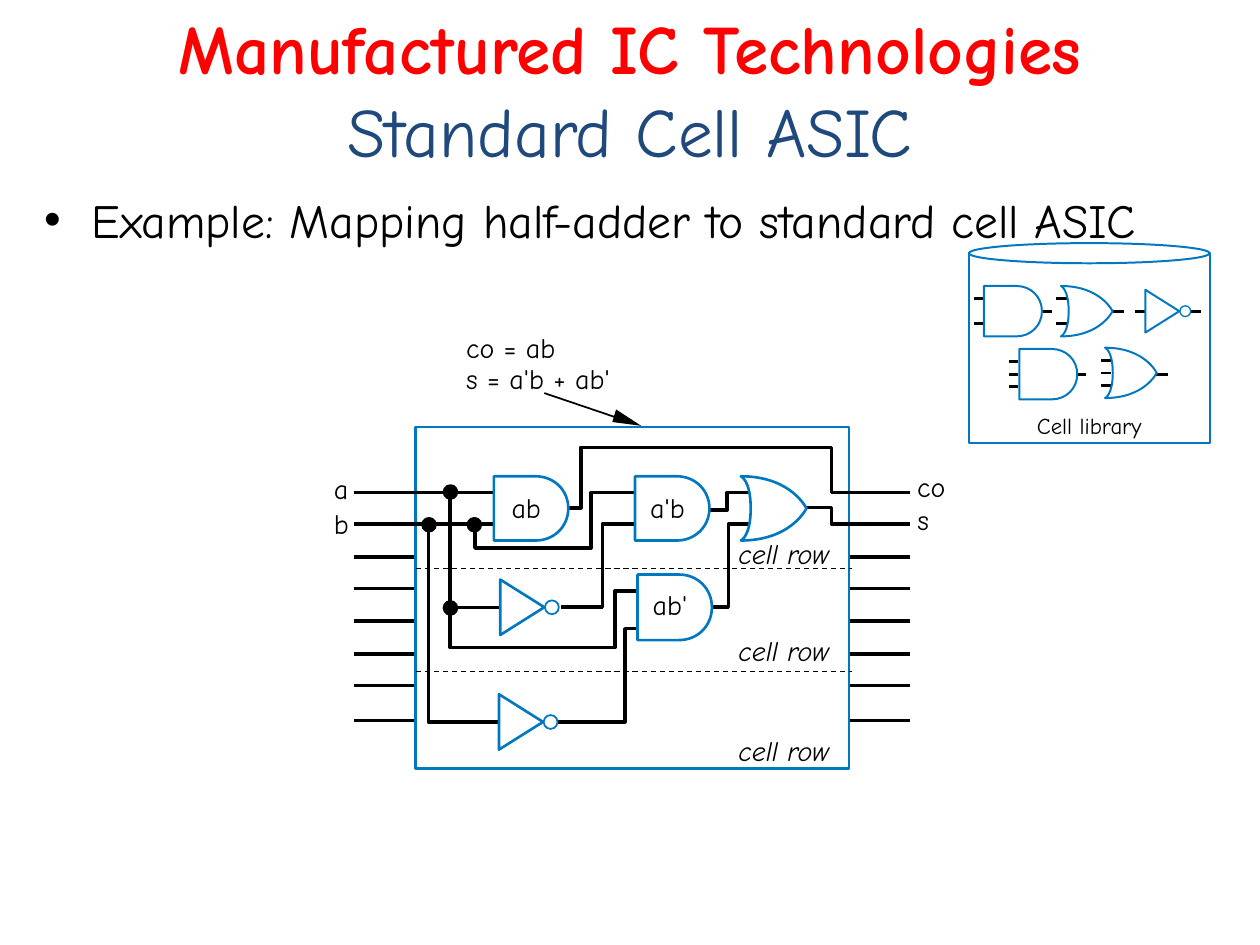
"""Build the standard cell ASIC slide with the half-adder mapping and the cell library."""
from dataclasses import dataclass

import pptx
import pptx.dml.color
import pptx.enum.dml
import pptx.enum.shapes
import pptx.enum.text
import pptx.oxml.ns
import pptx.oxml.xmlchemy
import pptx.util
from pptx.util import Inches

Point = tuple[float, float]
Box = tuple[float, float, float, float]


@dataclass(frozen=True)
class Theme:
    """Colours, type sizes and line widths."""
    font: str = "Comic Neue"
    red: str = "FF0000"
    navy: str = "1F497D"
    ink: str = "000000"
    paper: str = "FFFFFF"
    blue: str = "0078C1"
    title: float = 39.6
    body: float = 27.2
    label: float = 16
    small: float = 13
    wire: float = 2
    stub: float = 1.63
    outline: float = 1.5
    thin: float = 1.13
    hair: float = 0.75


@dataclass(frozen=True)
class Gate:
    """A gate symbol and its outline width."""
    kind: str
    x: float
    y: float
    w: float
    h: float
    line: float = Theme.outline


@dataclass(frozen=True)
class Label:
    """A line of text at its top left corner."""
    text: str
    x: float
    y: float
    w: float
    size: float = Theme.label
    italic: bool = False


T = Theme()
SHAPE = pptx.enum.shapes.MSO_SHAPE

OUTLINES = {
    "not": ((0, 1), (1, 0.5), (0, 0)),
    "and": ((0, 1), (0.56, 1), (0.56, 1), (0.56, 1), (0.81, 1), (1, 0.78), (1, 0.5),
            (1, 0.22), (0.81, 0), (0.56, 0), (0, 0), (0, 0), (0, 0)),
    "or": ((1, 0.5), (1, 0.5), (0.77, 1), (0, 1), (0, 1), (0.15, 0.94), (0.15, 0.5),
           (0.15, 0.06), (0, 0), (0, 0), (0.77, 0), (1, 0.5), (1, 0.5)),
}
PIN_ROWS = (3.91, 4.16, 4.42, 4.67, 4.93, 5.19, 5.44, 5.72)
WIRES = (
    ((7.21, 3.91), (6.6, 3.91), (6.6, 3.55), (4.61, 3.55), (4.61, 4.03), (4.51, 4.03)),
    ((5.04, 3.91), (4.69, 3.91), (4.69, 4.35), (4.6, 4.35), (3.77, 4.35), (3.77, 4.16)),
    ((4.43, 5.73), (4.96, 5.73), (4.96, 4.99), (5.06, 4.99)),
    ((3.96, 5.73), (3.4, 5.73), (3.4, 4.16)),
    ((6.4, 4.03), (6.6, 4.03), (6.6, 4.16), (7.22, 4.16)),
    ((5.64, 4.82), (5.78, 4.82), (5.78, 4.16), (5.95, 4.16)),
    ((5.95, 3.91), (5.77, 3.91), (5.77, 4.05), (5.63, 4.05)),
    ((4.45, 4.82), (4.78, 4.82), (4.78, 4.16), (5.04, 4.16)),
    ((5.06, 4.69), (4.88, 4.69), (4.88, 5.14), (3.57, 5.14), (3.57, 3.91)),
)
JUNCTIONS = ((3.52, 3.85), (3.52, 4.77), (3.71, 4.11), (3.35, 4.11))
GATES = (
    Gate("and", 3.92, 3.78, 0.59, 0.51),
    Gate("not", 3.97, 4.6, 0.35, 0.44),
    Gate("not", 3.96, 5.51, 0.35, 0.44),
    Gate("or", 5.88, 3.78, 0.52, 0.51),
    Gate("and", 5.04, 3.78, 0.59, 0.51),
    Gate("and", 5.06, 4.56, 0.59, 0.52),
)
LIBRARY_GATES = (
    Gate("and", 7.81, 2.27, 0.46, 0.4, T.thin),
    Gate("and", 8.09, 2.77, 0.46, 0.4, T.thin),
    Gate("not", 9.09, 2.3, 0.27, 0.34, T.thin),
    Gate("or", 8.42, 2.27, 0.41, 0.4, T.thin),
    Gate("or", 8.77, 2.76, 0.41, 0.4, T.thin),
)
STUBS = (
    (7.73, 0.08, (2.37, 2.57)), (8.27, 0.08, (2.47,)),
    (8.01, 0.07, (2.87, 2.97, 3.07)), (8.55, 0.07, (2.97,)),
    (9.01, 0.08, (2.47,)), (9.45, 0.08, (2.47,)),
    (8.38, 0.09, (2.37, 2.57)), (8.82, 0.1, (2.47,)),
    (8.74, 0.08, (2.86, 2.96, 3.06)), (9.17, 0.1, (2.97,)),
)
LABELS = (
    Label("s", 7.28, 3.99, 0.11), Label("co", 7.28, 3.73, 0.23),
    Label("a", 2.65, 3.74, 0.12), Label("b", 2.65, 4.02, 0.13),
    Label("co = ab", 3.7, 2.62, 0.74), Label("s = a'b + ab'", 3.7, 2.87, 1.27),
    Label("ab", 4.06, 3.89, 0.25), Label("a'b", 5.16, 3.89, 0.34), Label("ab'", 5.18, 4.66, 0.34),
    *(Label("cell row", 5.86, y, 0.81, italic=True) for y in (4.26, 5.03, 5.82)),
    Label("Cell library", 8.23, 3.27, 0.84, T.small),
)


def rgb(value: str) -> pptx.dml.color.RGBColor:
    """Return a colour from its hex code."""
    return pptx.dml.color.RGBColor.from_string(value)


def style_run(r, size: float, color: str, bold: bool = False, italic: bool = False) -> None:
    """Format one run."""
    r.font.name, r.font.size = T.font, pptx.util.Pt(size)
    r.font.bold, r.font.italic = bold, italic
    r.font.color.rgb = rgb(color)


def paint(sp, fill: str | None, line: str, width: float) -> None:
    """Set fill and outline of a shape."""
    sp.shadow.inherit = False
    if fill:
        sp.fill.solid()
        sp.fill.fore_color.rgb = rgb(fill)
    else:
        sp.fill.background()
    sp.line.color.rgb, sp.line.width = rgb(line), pptx.util.Pt(width)


def add_line(s, start: Point, end: Point, width: float, dashed: bool = False) -> None:
    """Draw a straight black line."""
    ends = [Inches(v) for v in (*start, *end)]
    sp = s.shapes.add_connector(pptx.enum.shapes.MSO_CONNECTOR.STRAIGHT, *ends)
    sp.line.color.rgb, sp.line.width = rgb(T.ink), pptx.util.Pt(width)
    if dashed:
        sp.line.dash_style = pptx.enum.dml.MSO_LINE.DASH
    sp._element.spPr.append(pptx.oxml.xmlchemy.OxmlElement("a:effectLst"))


def add_path(s, points: list[Point], close: bool):
    """Build a freeform through the points."""
    route = [(Inches(x), Inches(y)) for x, y in points]
    builder = s.shapes.build_freeform(*route[0], scale=1.0)
    builder.add_line_segments(route[1:], close=close)
    return builder.convert_to_shape()


def curve_path(sp) -> None:
    """Turn each three line segments of a freeform into one cubic curve."""
    segments = list(sp._element.iter(pptx.oxml.ns.qn("a:lnTo")))
    for i in range(0, len(segments), 3):
        curve = pptx.oxml.xmlchemy.OxmlElement("a:cubicBezTo")
        segments[i].addprevious(curve)
        for segment in segments[i:i + 3]:
            curve.append(segment[0])
            segment.getparent().remove(segment)


def add_preset(s, kind, box: Box, fill: str | None, line: str, width: float) -> None:
    """Draw a preset shape."""
    paint(s.shapes.add_shape(kind, *(Inches(v) for v in box)), fill, line, width)


def add_gate(s, g: Gate) -> None:
    """Draw a gate, with its bubble for an inverter."""
    sp = add_path(s, [(g.x + u * g.w, g.y + v * g.h) for u, v in OUTLINES[g.kind]], True)
    paint(sp, T.paper, T.blue, g.line)
    if g.kind == "not":
        d = g.h / 4
        box = (g.x + g.w + 0.005, g.y + (g.h - d) / 2, d, d)
        add_preset(s, SHAPE.OVAL, box, T.paper, T.blue, g.line * 2 / 3)
    else:
        curve_path(sp)


def add_label(s, label: Label) -> None:
    """Write one label."""
    box = (label.x, label.y, label.w, label.size / 60)
    tf = s.shapes.add_textbox(*(Inches(v) for v in box)).text_frame
    tf.margin_left = tf.margin_right = tf.margin_top = tf.margin_bottom = 0
    tf.word_wrap = False
    tf.text = label.text
    style_run(tf.paragraphs[0].runs[0], label.size, T.ink, italic=label.italic)


def fill_placeholder(sp, box: Box, text: str):
    """Move a placeholder, set its text and return its paragraph."""
    sp.left, sp.top, sp.width, sp.height = (Inches(v) for v in box)
    tf = sp.text_frame
    tf.text = text
    tf.word_wrap, tf.auto_size = True, pptx.enum.text.MSO_AUTO_SIZE.NONE
    return tf.paragraphs[0]


def add_headings(s) -> None:
    """Fill the title and the bullet."""
    p = fill_placeholder(s.shapes.title, (0, 0.24, 10, 0.92),
                         "Manufactured IC Technologies\vStandard Cell ASIC")
    p.alignment = pptx.enum.text.PP_ALIGN.CENTER
    s.shapes.title.text_frame.vertical_anchor = pptx.enum.text.MSO_ANCHOR.MIDDLE
    style_run(p.runs[0], T.title, T.red, bold=True)
    style_run(p.runs[1], T.title, T.navy)
    p = fill_placeholder(s.placeholders[1], (0.25, 1.55, 8.99, 0.86),
                         "Example: Mapping half-adder to standard cell ASIC")
    p.line_spacing, p.space_before = 0.8, pptx.util.Pt(T.body * 0.2)
    style_run(p.runs[0], T.body, T.ink)


def add_circuit(s) -> None:
    """Draw the half-adder in its cell rows."""
    for y in PIN_ROWS:
        for x in (2.81, 6.74):
            add_line(s, (x, y), (x + 0.48, y), T.wire)
    add_preset(s, SHAPE.RECTANGLE, (3.3, 3.39, 3.44, 2.71), None, T.blue, T.outline)
    for y in PIN_ROWS[:2]:
        add_line(s, (2.81, y), (3.92, y), T.wire)
    for wire in WIRES:
        paint(add_path(s, wire, False), None, T.ink, T.wire)
    add_line(s, (3.57, 4.82), (3.97, 4.82), T.wire)
    for x, y in JUNCTIONS:
        add_preset(s, SHAPE.OVAL, (x, y, 0.11, 0.11), T.ink, T.ink, 1)
    add_line(s, (4.32, 3.12), (4.91, 3.32), 1)
    head = add_path(s, [(5.09, 3.38), (4.89, 3.25), (4.86, 3.35)], True)
    paint(head, T.ink, T.ink, 1)
    head.line.fill.background()
    for g in GATES:
        add_gate(s, g)
    for y in (4.51, 5.33):
        add_line(s, (3.3, y), (6.76, y), T.hair, dashed=True)


def add_library(s) -> None:
    """Draw the cell library drum."""
    add_preset(s, SHAPE.RECTANGLE, (7.69, 2.01, 1.91, 1.51), None, T.blue, T.thin)
    for x, length, rows in STUBS:
        for y in rows:
            add_line(s, (x, y), (x + length, y), T.stub)
    for g in LIBRARY_GATES:
        add_gate(s, g)
    add_preset(s, SHAPE.OVAL, (7.69, 1.93, 1.91, 0.16), T.paper, T.blue, T.thin)


def main() -> None:
    """Build and save the slide."""
    prs = pptx.Presentation()
    prs.slide_width, prs.slide_height = Inches(10), Inches(7.5)
    s = prs.slides.add_slide(prs.slide_layouts[1])
    add_headings(s)
    add_circuit(s)
    add_library(s)
    for label in LABELS:
        add_label(s, label)
    prs.save("out.pptx")


if __name__ == "__main__":
    main()
